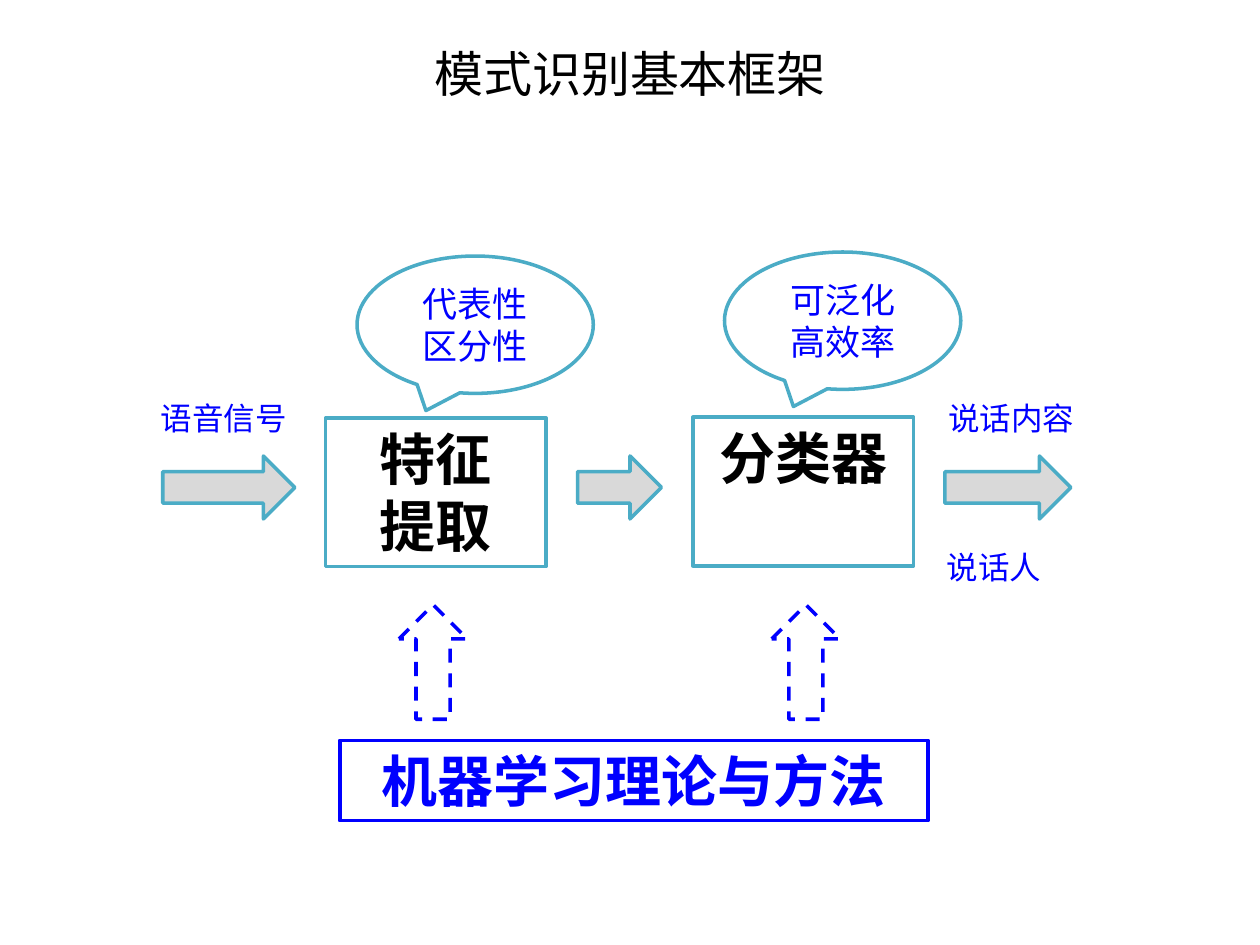
"""Build the slide showing the basic framework of pattern recognition."""
from pptx import Presentation
from pptx.dml.color import RGBColor
from pptx.enum.dml import MSO_LINE
from pptx.enum.shapes import MSO_SHAPE as SHAPE
from pptx.enum.text import MSO_ANCHOR as ANCHOR, PP_ALIGN as ALIGN
from pptx.util import Pt

WHITE, BLACK, BLUE, TEAL, GRAY = "FFFFFF", "000000", "0000FF", "4BACC6", "D9D9D9"


def color(value):
    return RGBColor.from_string(value)


def add_block(kind, bounds, fill, line, lines=(), size=18, ink=BLUE,
              bold=False, align=ALIGN.CENTER, wrap=True):
    block = page.shapes.add_shape(kind, *map(Pt, bounds))
    block.shadow.inherit = False
    block.fill.solid()
    block.fill.fore_color.rgb = color(fill)
    block.line.color.rgb = color(line)
    block.line.width = Pt(2)
    frame = block.text_frame
    frame.word_wrap = wrap
    frame.vertical_anchor = ANCHOR.TOP
    for index, text in enumerate(lines):
        para = frame.add_paragraph() if index else frame.paragraphs[0]
        para.text = text
        para.alignment = align
        para.font.name = "Calibri"
        para.font.size = Pt(size)
        para.font.bold = bold
        para.font.color.rgb = color(ink)
    return block


deck = Presentation()
deck.slide_width, deck.slide_height = Pt(720), Pt(540)
page = deck.slides.add_slide(deck.slide_layouts[6])

title = page.shapes.add_textbox(Pt(45), Pt(17.5), Pt(630), Pt(48))
title.text_frame.word_wrap = True
title.text_frame.vertical_anchor = ANCHOR.MIDDLE
heading = title.text_frame.paragraphs[0]
heading.text = "模式识别基本框架"
heading.alignment = ALIGN.CENTER
heading.font.name = "Noto Sans CJK SC"
heading.font.size = Pt(28)
heading.font.color.rgb = color(BLACK)

for left, top, lines in [(186, 238.8, ["特征", "提取"]), (396, 238.4, ["分类器"])]:
    add_block(SHAPE.RECTANGLE, (left, top, 126, 85), WHITE, TEAL,
              lines, size=32, ink=BLACK, bold=True)

for left, width in [(330, 48), (540, 72), (93, 75.5)]:
    add_block(SHAPE.RIGHT_ARROW, (left, 260.6, width, 36), GRAY, TEAL)

for left, top, text, align in [
    (84, 224.6, "语音信号", ALIGN.CENTER),
    (534, 224.6, "说话内容", ALIGN.CENTER),
    (534, 309.6, "说话人", ALIGN.LEFT),
]:
    add_block(SHAPE.RECTANGLE, (left, top, 87.5, 29), WHITE, WHITE,
              [text], align=align, wrap=align == ALIGN.LEFT)

for left, top, lines in [
    (204, 146.3, ["代表性", "区分性"]),
    (414, 144, ["可泛化", "高效率"]),
]:
    add_block(SHAPE.OVAL_CALLOUT, (left, top, 135, 78.5), WHITE, TEAL, lines, size=20)

for left in (228, 441):
    arrow = add_block(SHAPE.UP_ARROW, (left, 345.6, 39, 65.4), WHITE, BLUE)
    arrow.line.dash_style = MSO_LINE.DASH

add_block(SHAPE.RECTANGLE, (194.2, 423, 336, 46), WHITE, BLUE,
          ["机器学习理论与方法"], size=32, bold=True)

deck.save("out.pptx")
